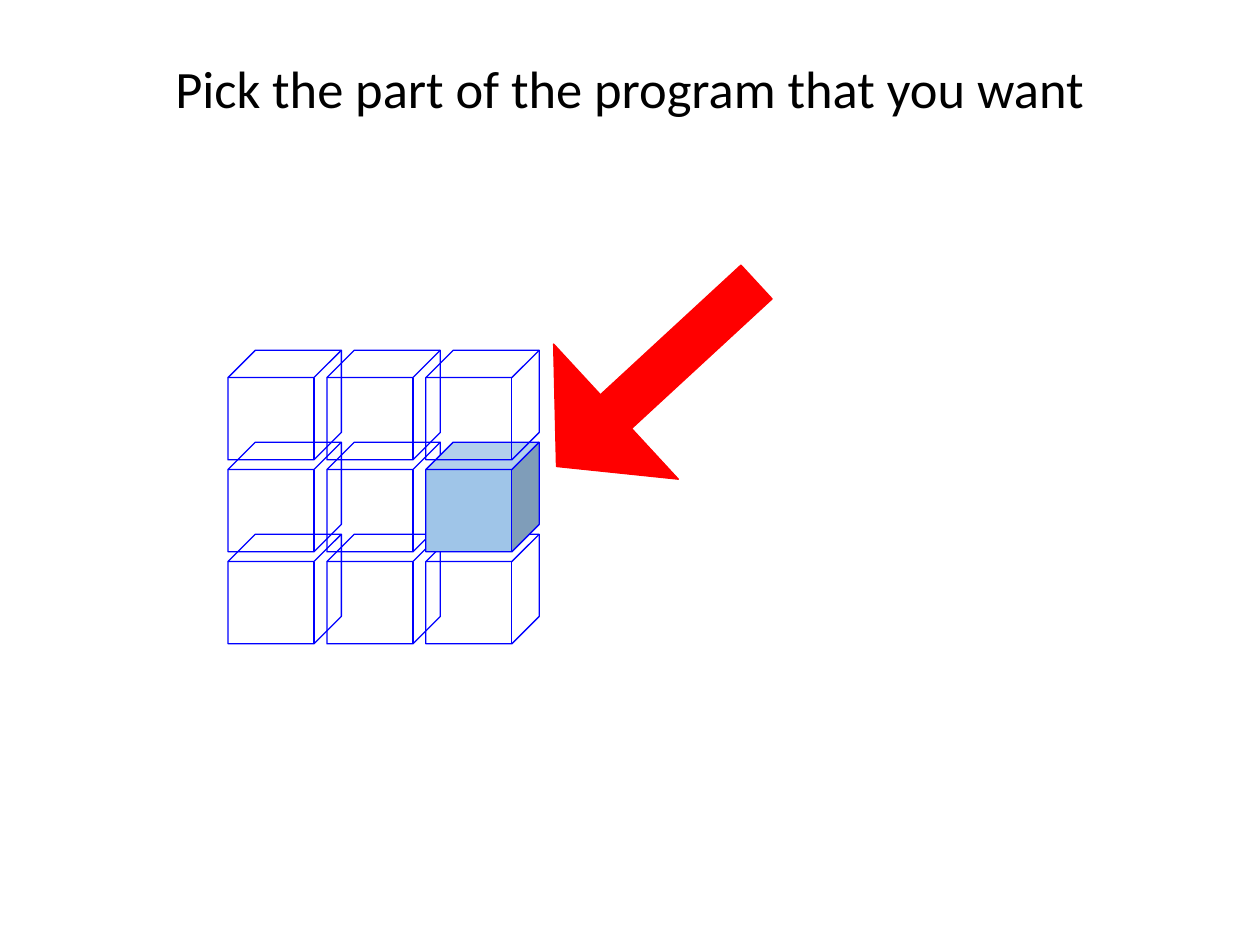
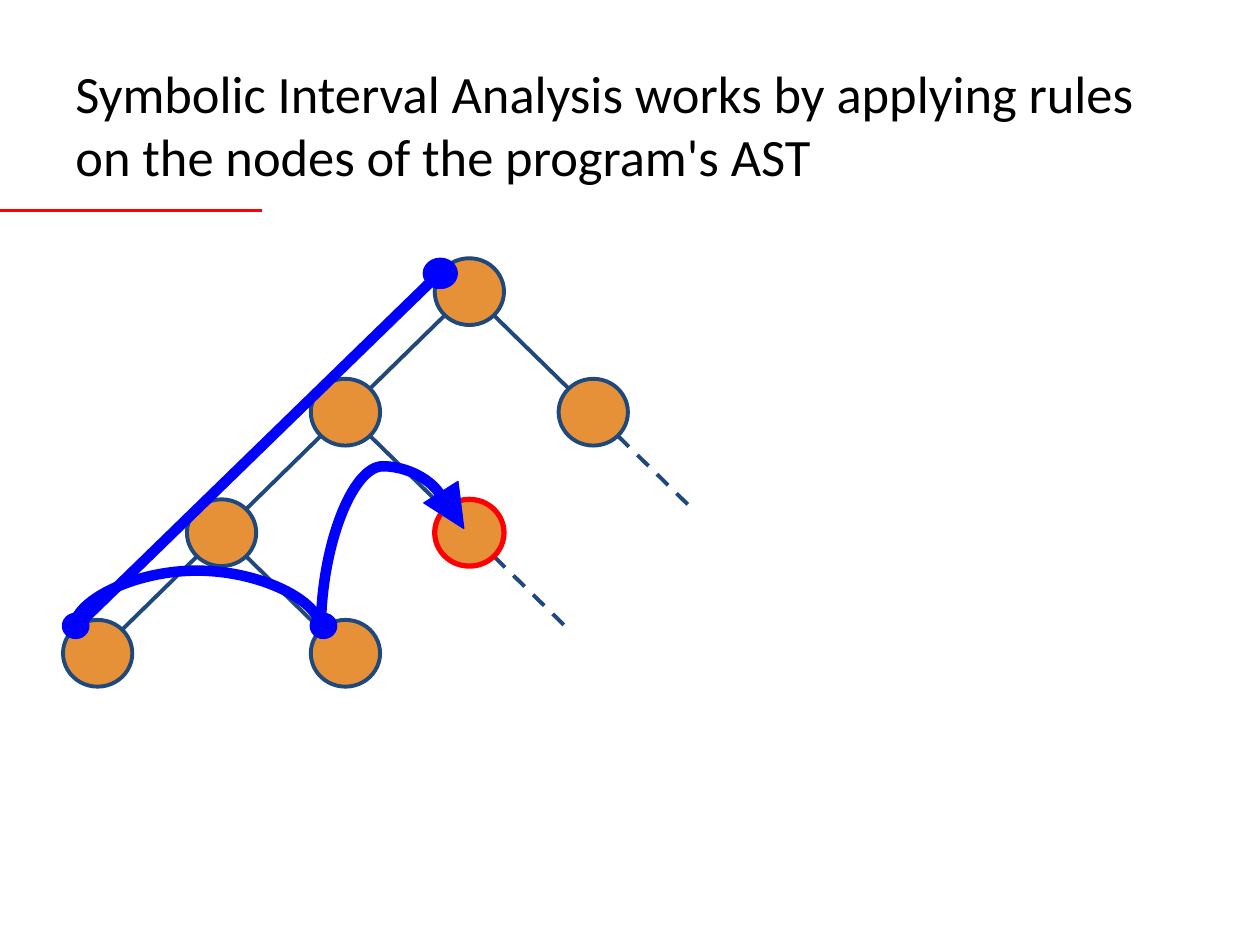
import itertools
import math

import lxml.etree
import pptx
import pptx.dml.color
import pptx.enum.dml
import pptx.enum.shapes
import pptx.enum.text
import pptx.oxml.ns
import pptx.util

RGBColor = pptx.dml.color.RGBColor
Shape = pptx.enum.shapes.MSO_SHAPE
Connector = pptx.enum.shapes.MSO_CONNECTOR
Alignment = pptx.enum.text.PP_ALIGN
qn = pptx.oxml.ns.qn

BLACK = RGBColor(0x00, 0x00, 0x00)
BLUE = RGBColor(0x00, 0x00, 0xFF)
RED = RGBColor(0xFF, 0x00, 0x00)
NAVY = RGBColor(0x1F, 0x49, 0x7D)
ORANGE = RGBColor(0xE6, 0x91, 0x38)
LIGHT_BLUE = RGBColor(0x9F, 0xC5, 0xE8)

# The slide is a grid of 100 columns by 75 rows of square cells.
COLUMNS, ROWS = 100, 75
CELL = pptx.util.Inches(0.1)

# Syntax tree: nodes sit on (column, level) places with equal steps.
TREE_LEFT, TREE_TOP = 5, 20.5
TREE_STEP_X, TREE_STEP_Y = 29.5 / 3, 28.7 / 3
NODE_WIDTH, NODE_HEIGHT = 5.5, 5.3
ROOT, VISITED, FIRST_LEAF, SECOND_LEAF = (3, 0), (3, 2), (0, 3), (2, 3)
NODES = [ROOT, (4, 1), (2, 1), VISITED, (1, 2), FIRST_LEAF, SECOND_LEAF]
EDGES = [(ROOT, (2, 1)), (ROOT, (4, 1)), ((2, 1), (1, 2)), ((2, 1), VISITED),
         ((1, 2), FIRST_LEAF), ((1, 2), SECOND_LEAF)]
OPEN_EDGES = [((4, 1), (5, 2)), (VISITED, (4, 3))]


def cells(count):
    return pptx.util.Emu(round(count * CELL))


class Deck:
    """Holds the shared style and the slide being drawn; lengths are in grid cells."""

    font_name = "Calibri"
    title_size = 30
    title_box = (5, 3, 90)
    inset = 1
    thin = 0.75

    def __init__(self):
        self.presentation = pptx.Presentation()
        self.presentation.slide_width = cells(COLUMNS)
        self.presentation.slide_height = cells(ROWS)
        self.slide = None

    def new_slide(self):
        self.slide = self.presentation.slides.add_slide(self.presentation.slide_layouts[6])

    def title(self, text, height, alignment):
        box = self.slide.shapes.add_textbox(*map(cells, (*self.title_box, height)))
        frame = box.text_frame
        frame.word_wrap = True
        frame.vertical_anchor = pptx.enum.text.MSO_ANCHOR.MIDDLE
        frame.margin_left = frame.margin_right = cells(self.inset)
        frame.margin_top = frame.margin_bottom = cells(self.inset)
        paragraph = frame.paragraphs[0]
        paragraph.alignment = alignment
        run = paragraph.add_run()
        run.text = text
        run.font.name = self.font_name
        run.font.size = pptx.util.Pt(self.title_size)
        run.font.color.rgb = BLACK

    def shape(self, kind, box, fill, line, weight=thin, rotation=0, adjustments=()):
        shape = self.slide.shapes.add_shape(kind, *map(cells, box))
        shape.shadow.inherit = False
        shape.rotation = rotation
        for index, value in enumerate(adjustments):
            shape.adjustments[index] = value
        if fill is None:
            shape.fill.background()
        else:
            shape.fill.solid()
            shape.fill.fore_color.rgb = fill
        shape.line.color.rgb = line
        shape.line.width = pptx.util.Pt(weight)

    def line(self, start, end, color, weight, dashed=False, kind=Connector.STRAIGHT):
        connector = self.slide.shapes.add_connector(kind, *map(cells, (*start, *end)))
        connector.line.color.rgb = color
        connector.line.width = pptx.util.Pt(weight)
        if dashed:
            connector.line.dash_style = pptx.enum.dml.MSO_LINE.DASH
        lxml.etree.SubElement(connector._element.spPr, qn("a:effectLst"))
        return connector

    def arch(self, start, end, peak, color, weight):
        """Curve from start up to the row peak and down to end, as a connector on its side."""
        span = end[0] - start[0]
        rise = max(start[1] - end[1], 0.01)
        middle_x, middle_y = (start[0] + end[0]) / 2, (start[1] + end[1]) / 2
        corner = (middle_x - rise / 2, middle_y - span / 2)
        opposite = (middle_x + rise / 2, middle_y + span / 2)
        connector = self.line(corner, opposite, color, weight, kind=Connector.CURVE)
        properties = connector._element.spPr
        properties.find(qn("a:xfrm")).set("rot", str(270 * 60000))
        guide = lxml.etree.SubElement(properties.find(".//" + qn("a:avLst")), qn("a:gd"))
        guide.set("name", "adj1")
        guide.set("fmla", f"val {round((start[1] - peak) / rise * 100000)}")


def node_center(place):
    return (TREE_LEFT + place[0] * TREE_STEP_X + NODE_WIDTH / 2,
            TREE_TOP + place[1] * TREE_STEP_Y + NODE_HEIGHT / 2)


def node_rim(place, side_x, side_y):
    """Point on the node's outline on the diagonal given by two signs."""
    x, y = node_center(place)
    diagonal = math.sqrt(0.5) / 2
    return x + side_x * NODE_WIDTH * diagonal, y + side_y * NODE_HEIGHT * diagonal


def centered(center, width, height):
    return center[0] - width / 2, center[1] - height / 2, width, height


def draw_program_parts(deck):
    deck.new_slide()
    picked = (1, 2)
    for row, column in itertools.product((2, 1, 0), range(3)):
        fill = LIGHT_BLUE if (row, column) == picked else None
        box = (18.1 + column * 7.85, 27.8 + row * 7.3, 9, 8.7)
        deck.shape(Shape.CUBE, box, fill, BLUE, adjustments=(0.25,))
    deck.shape(Shape.RIGHT_ARROW, (41.3, 22.4, 21.6, 14.6), RED, RED,
               rotation=137.3, adjustments=(0.25, 0.44))
    deck.title("Pick the part of the program that you want", 7.9, Alignment.CENTER)


def draw_syntax_tree(deck):
    deck.new_slide()
    deck.title("Symbolic Interval Analysis works by applying rules "
               "on the nodes of the program's AST", 13.7, Alignment.LEFT)
    for parent, child in EDGES + OPEN_EDGES:
        side = 1 if child[0] > parent[0] else -1
        deck.line(node_rim(parent, side, 1), node_rim(child, -side, -1), NAVY, 2.25,
                  dashed=(parent, child) in OPEN_EDGES)
    for place in NODES:
        outline, weight = (RED, 3) if place == VISITED else (NAVY, 2.25)
        box = centered(node_center(place), NODE_WIDTH, NODE_HEIGHT)
        deck.shape(Shape.OVAL, box, ORANGE, outline, weight)

    root, first, second, visited = (
        node_rim(place, -1, -1) for place in (ROOT, FIRST_LEAF, SECOND_LEAF, VISITED))
    deck.line(root, first, BLUE, 6)
    deck.arch(first, second, 46, BLUE, 6)
    deck.arch(second, visited, 37, BLUE, 6)
    deck.shape(Shape.OVAL, centered((34.95, 21.7), 2.7, 2.4), BLUE, BLUE)
    for x, y in (first, second):
        deck.shape(Shape.OVAL, centered((x + 0.2, y - 0.3), 2.1, 2), BLUE, BLUE)
    deck.shape(Shape.ISOSCELES_TRIANGLE, (34.3, 38.8, 3.2, 3.4), BLUE, BLUE, rotation=147.8)
    deck.line((0, 16.7), (20.8, 16.7), RED, 2)


def main():
    deck = Deck()
    draw_program_parts(deck)
    draw_syntax_tree(deck)
    deck.presentation.save("out.pptx")


if __name__ == "__main__":
    main()
